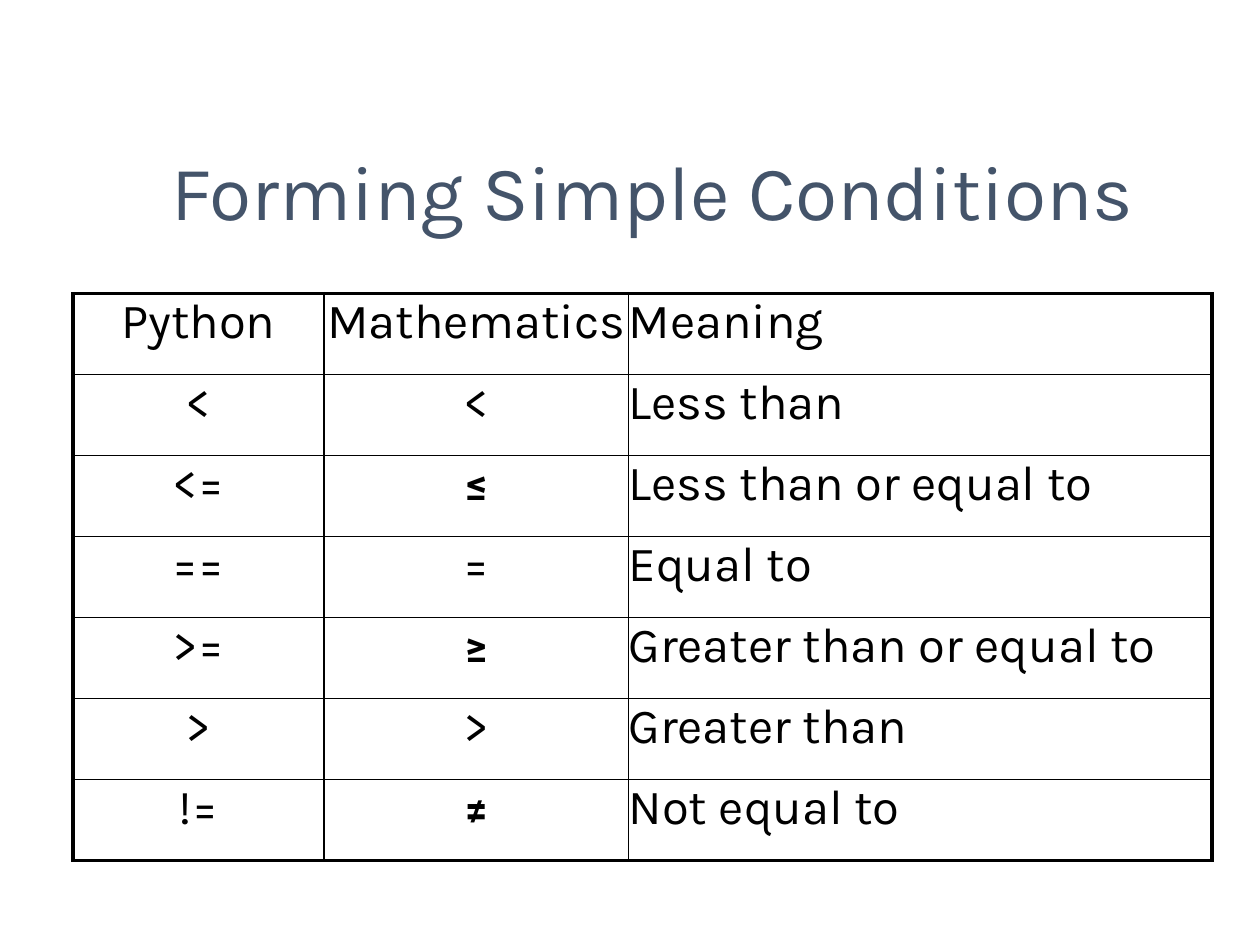
import pptx
import pptx.util
import pptx.dml.color
import pptx.enum.text
import pptx.oxml.ns
import lxml.etree

Inches = pptx.util.Inches
Align = pptx.enum.text.PP_ALIGN
Anchor = pptx.enum.text.MSO_ANCHOR

FONT = "Karla"
INK, SLATE = "000000", "44546A"
THICK, THIN = 2.25, 1
COLS = [1.99, 2.42, 4.63]
ROWS = [
    ("Python", "Mathematics", "Meaning"),
    ("<", "<", "Less than"),
    ("<=", "≤", "Less than or equal to"),
    ("==", "=", "Equal to"),
    (">=", "≥", "Greater than or equal to"),
    (">", ">", "Greater than"),
    ("!=", "≠", "Not equal to"),
]


def color(code):
    """Turn a hex string into a colour."""
    return pptx.dml.color.RGBColor.from_string(code)


def write(frame, text, size=28, ink=INK, bold=False, align=Align.LEFT, space=1.0):
    """Put one formatted paragraph into a text frame."""
    para = frame.paragraphs[0]
    para.alignment = align
    para.line_spacing = space
    run = para.add_run()
    run.text = text
    font = run.font
    font.name, font.size, font.bold = FONT, pptx.util.Pt(size), bold
    font.color.rgb = color(ink)


def edge(cell, sides):
    """Draw cell borders from a map of side to width in points."""
    props = cell._tc.get_or_add_tcPr()
    for spot, side in enumerate("LRTB"):
        line = lxml.etree.Element(pptx.oxml.ns.qn("a:ln" + side))
        line.set("w", str(int(pptx.util.Pt(sides[side]))))
        fill = lxml.etree.SubElement(line, pptx.oxml.ns.qn("a:solidFill"))
        lxml.etree.SubElement(fill, pptx.oxml.ns.qn("a:srgbClr")).set("val", INK)
        props.insert(spot, line)


def head(slide, text, left, top, width, height):
    """Place and format the slide title."""
    title = slide.shapes.title
    title.left, title.top = Inches(left), Inches(top)
    title.width, title.height = Inches(width), Inches(height)
    frame = title.text_frame
    frame.vertical_anchor = Anchor.BOTTOM
    write(frame, text, size=44, ink=SLATE, space=0.9)


def grid(slide, left, top, width, height):
    """Place the table of operators, with a thick outer frame."""
    table = slide.shapes.add_table(
        len(ROWS), len(COLS), Inches(left), Inches(top),
        Inches(width), Inches(height)).table
    table.first_row = table.horz_banding = False
    for col, size in zip(table.columns, COLS):
        col.width = Inches(width * size / sum(COLS))
    last, end = len(ROWS) - 1, len(COLS) - 1
    for r, row in enumerate(ROWS):
        for c, text in enumerate(row):
            cell = table.cell(r, c)
            cell.margin_left = cell.margin_right = 0
            cell.margin_top = cell.margin_bottom = 0
            cell.fill.background()
            write(cell.text_frame, text, bold=text in "≤≥≠",
                  align=Align.LEFT if c == end else Align.CENTER)
            outer = {"L": c == 0, "R": c == end, "T": r == 0, "B": r == last}
            edge(cell, {side: THICK if out else THIN
                        for side, out in outer.items()})


def main():
    """Build the slide and save it."""
    deck = pptx.Presentation()
    deck.slide_width, deck.slide_height = Inches(10), Inches(7.5)
    slide = deck.slides.add_slide(deck.slide_layouts[5])
    head(slide, "Forming Simple Conditions", 1.26, 0.68, 8.52, 1.25)
    grid(slide, 0.58, 2.33, 9.04, 4.5)
    deck.save("out.pptx")


main()
